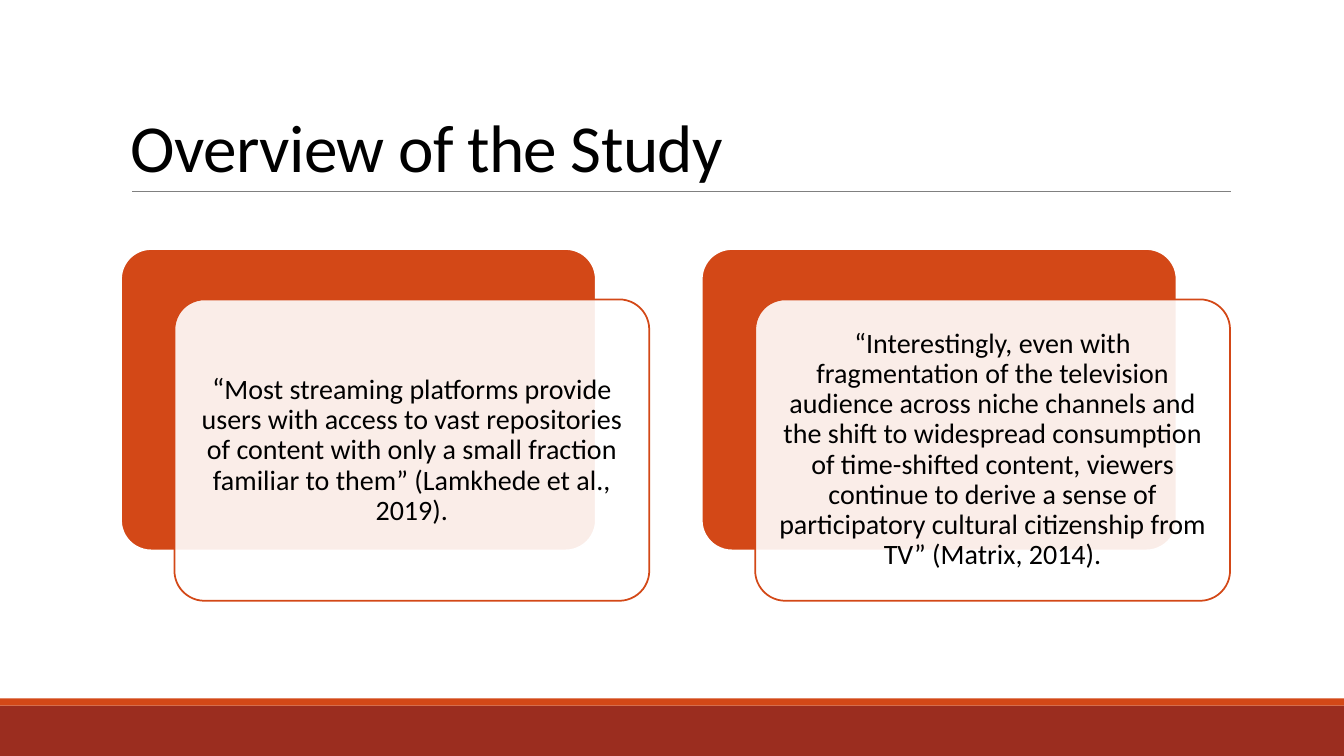
from pptx import Presentation
from pptx.dml.color import RGBColor
from pptx.enum.shapes import MSO_CONNECTOR, MSO_SHAPE
from pptx.enum.text import MSO_ANCHOR, PP_ALIGN
from pptx.oxml.ns import qn
from pptx.util import Inches, Pt
from lxml import etree

RECTANGLE = MSO_SHAPE.RECTANGLE
ROUNDED = MSO_SHAPE.ROUNDED_RECTANGLE
STRAIGHT = MSO_CONNECTOR.STRAIGHT
MIDDLE, BOTTOM = MSO_ANCHOR.MIDDLE, MSO_ANCHOR.BOTTOM
LEFT, CENTER = PP_ALIGN.LEFT, PP_ALIGN.CENTER

FONT = "Calibri"
BLACK, WHITE, GRAY = "000000", "FFFFFF", "808080"
ORANGE, BRICK = "D34817", "9B2D1F"

CARD_LEFT, CARD_TOP, CARD_PITCH = 1.2, 2.47, 5.76
CARD_WIDTH, CARD_HEIGHT = 4.71, 2.99
FRONT_SHIFT_X, FRONT_SHIFT_Y = 0.53, 0.5
TEXT_MARGIN = 0.08

# Each quote: text inset and runs of (text, size).
QUOTES = [
    (0.09, [
        ("“", 21),
        ("Most streaming platforms provide users with access to vast "
         "repositories of content with only a small fraction familiar to "
         "them” (Lamkhede et al., 2019).", 20),
    ]),
    (0.08, [
        ("“Interestingly, even with fragmentation of the television audience "
         "across niche channels and the shift to widespread consumption of "
         "time-shifted content, viewers continue to derive a sense of "
         "participatory cultural citizenship from TV” (Matrix, 2014).", 20),
    ]),
]


def color(code):
    """Turn a hex string into a colour."""
    return RGBColor.from_string(code)


def add_panel(page, kind, area, fill, line=None, opacity=None):
    """Add a filled shape, with an optional outline and opacity in percent."""
    panel = page.shapes.add_shape(kind, *map(Inches, area))
    panel.shadow.inherit = False
    panel.fill.solid()
    panel.fill.fore_color.rgb = color(fill)
    if opacity is not None:
        tint = panel.fill._xPr.find(qn("a:solidFill"))[0]
        etree.SubElement(tint, qn("a:alpha")).set("val", str(opacity * 1000))
    if line:
        panel.line.color.rgb = color(line)
        panel.line.width = Pt(1.25)
    else:
        panel.line.fill.background()
    if kind == ROUNDED:
        panel.adjustments[0] = 0.1
    return panel


def add_rule(page, left, right, top):
    """Add the thin horizontal line below the title."""
    rule = page.shapes.add_connector(
        STRAIGHT, Inches(left), Inches(top), Inches(right), Inches(top))
    rule.line.color.rgb = color(GRAY)
    rule.line.width = Pt(0.5)
    etree.SubElement(rule._element.spPr, qn("a:effectLst"))


def add_text(page, area, runs, align, anchor, spacing, insets, tracking=None):
    """Add a one-paragraph text box from (text, size) runs."""
    box = page.shapes.add_textbox(*map(Inches, area))
    frame = box.text_frame
    frame.word_wrap = True
    frame.vertical_anchor = anchor
    frame.margin_left = frame.margin_right = Inches(insets[0])
    frame.margin_top = frame.margin_bottom = Inches(insets[1])
    para = frame.paragraphs[0]
    para.alignment = align
    para.line_spacing = spacing
    for text, size in runs:
        span = para.add_run()
        span.text = text
        span.font.name = FONT
        span.font.size = Pt(size)
        span.font.color.rgb = color(BLACK)
        if tracking is not None:
            span.font._element.set("spc", str(round(tracking * 100)))


def add_quote_card(page, left, inset, runs):
    """Add an orange card with a translucent quote card in front of it."""
    add_panel(page, ROUNDED, (left, CARD_TOP, CARD_WIDTH, CARD_HEIGHT),
              ORANGE, WHITE)
    front_left, front_top = left + FRONT_SHIFT_X, CARD_TOP + FRONT_SHIFT_Y
    add_panel(page, ROUNDED, (front_left, front_top, CARD_WIDTH, CARD_HEIGHT),
              WHITE, ORANGE, opacity=90)
    text_area = (front_left + TEXT_MARGIN, front_top + TEXT_MARGIN,
                 CARD_WIDTH - 2 * TEXT_MARGIN, CARD_HEIGHT - 2 * TEXT_MARGIN)
    add_text(page, text_area, runs, CENTER, MIDDLE, 0.9, (inset, inset))


def main():
    """Build the slide and save it."""
    deck = Presentation()
    deck.slide_width, deck.slide_height = Inches(13.33), Inches(7.5)
    page = deck.slides.add_slide(deck.slide_layouts[6])
    page.background.fill.solid()
    page.background.fill.fore_color.rgb = color(WHITE)

    add_panel(page, RECTANGLE, (0, 7, 13.33, 0.5), BRICK)
    add_panel(page, RECTANGLE, (0, 6.93, 13.33, 0.07), ORANGE)
    add_rule(page, 1.31, 12.21, 1.9)
    add_text(page, (1.2, 0.31, 11, 1.59), [("Overview of the Study", 48)],
             LEFT, BOTTOM, 0.85, (0.1, 0.05), tracking=-0.5)
    for index, (inset, runs) in enumerate(QUOTES):
        add_quote_card(page, CARD_LEFT + index * CARD_PITCH, inset, runs)

    deck.save("out.pptx")


main()
